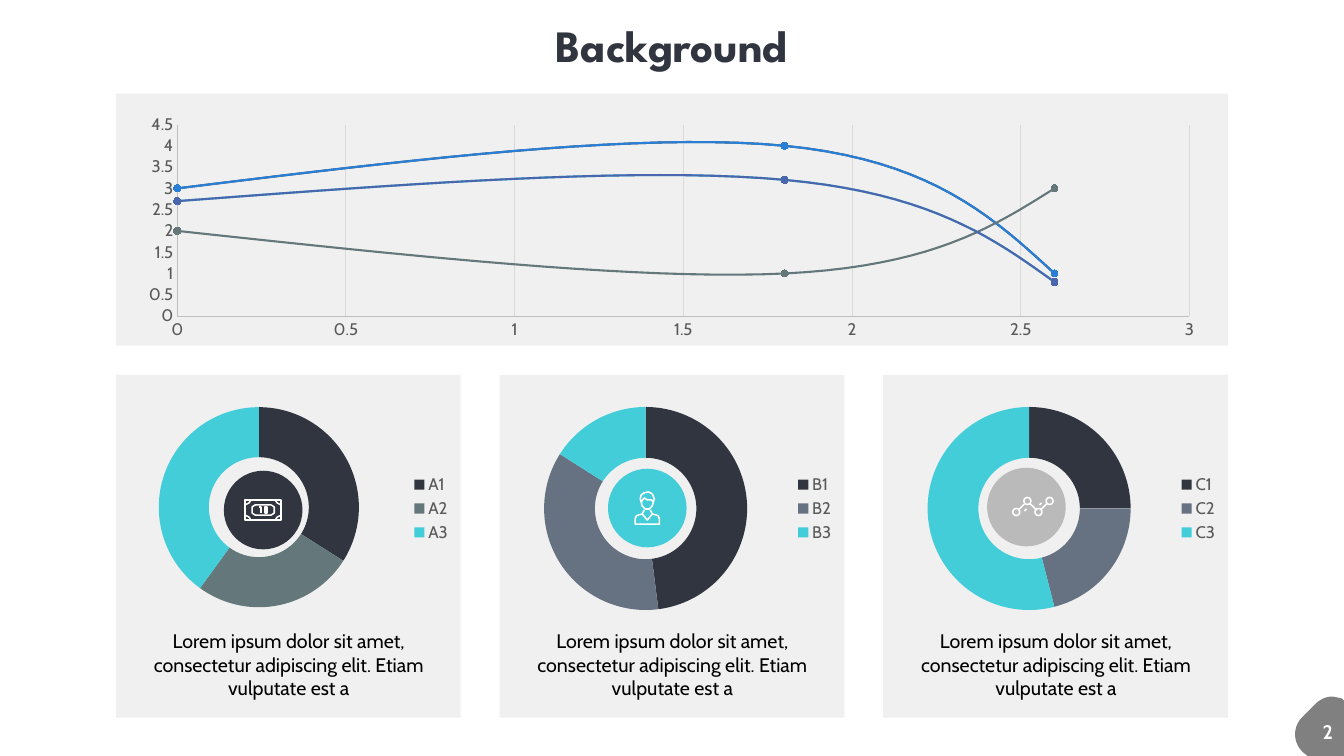
"""Builds the Background slide: a smooth scatter chart above three doughnut cards."""
from lxml.etree import SubElement
from pptx import Presentation
from pptx.chart.data import CategoryChartData, XyChartData
from pptx.dml.color import RGBColor
from pptx.enum.chart import XL_CHART_TYPE as Chart, XL_LEGEND_POSITION as LegendSide
from pptx.enum.chart import XL_MARKER_STYLE as Marker, XL_TICK_MARK as Tick
from pptx.enum.shapes import MSO_CONNECTOR as Connector, MSO_SHAPE as Shape
from pptx.enum.text import PP_ALIGN as Align
from pptx.oxml import parse_xml
from pptx.oxml.ns import nsdecls, qn
from pptx.util import Inches, Pt

INK = RGBColor(0x30, 0x35, 0x3F)
SAGE = RGBColor(0x64, 0x77, 0x7B)
SLATE = RGBColor(0x66, 0x71, 0x81)
CYAN = RGBColor(0x43, 0xCD, 0xD9)
INDIGO = RGBColor(0x4A, 0x66, 0xAC)
BLUE = RGBColor(0x29, 0x7F, 0xD5)
NAVY = RGBColor(0x34, 0x43, 0x57)
SILVER = RGBColor(0xBA, 0xBA, 0xBA)
PANEL = RGBColor(0xCF, 0xCF, 0xCF)
AXIS = RGBColor(0xBF, 0xBF, 0xBF)
GRID = RGBColor(0xD9, 0xD9, 0xD9)
LABEL = RGBColor(0x59, 0x59, 0x59)
GRAY = RGBColor(0x80, 0x80, 0x80)
WHITE = RGBColor(0xFF, 0xFF, 0xFF)
BLACK = RGBColor(0, 0, 0)
BODY_FONT, TITLE_FONT = "Cabin", "League Spartan"

TITLE = "Background"
CAPTION = "Lorem ipsum dolor sit amet, consectetur adipiscing elit. Etiam vulputate est a"
PAGE_NUMBER = "2"
TREND_X = (0, 1.8, 2.6)
TRENDS = [
    ("Series 1", (2.7, 3.2, 0.8), INDIGO),
    ("Series 2", (2, 1, 3), SAGE),
    ("Series 3", (3, 4, 1), BLUE),
    ("Series 4", (2.7, 3.2, 0.8), CYAN),
    ("Series 5", (3, 4, 1), NAVY),
]

CORNERS = [((-.18 * sx, -.05 * sy), (-.14 * sx, -.07 * sy), (-.12 * sx, -.10 * sy))
           for sx in (1, -1) for sy in (1, -1)]
BANKNOTE = {
    "closed": [
        ((-.18, -.10), (.18, -.10), (.18, .10), (-.18, .10)),
        ((-.11, -.03), (-.08, -.05), (.08, -.05), (.11, -.03),
         (.11, .03), (.08, .05), (-.08, .05), (-.11, .03)),
        ((.02, -.03), (.04, -.03), (.04, .03), (.02, .03)),
    ],
    "open": CORNERS + [((-.04, -.03), (-.02, -.03), (-.02, .03))],
    "rings": [],
}
PERSON = {
    "closed": [
        ((-.06, -.06), (-.07, -.09), (-.06, -.13), (-.03, -.15), (.01, -.16), (.05, -.14),
         (.07, -.09), (.06, -.06), (.04, -.08), (0, -.08), (-.03, -.10)),
    ],
    "open": [
        ((-.06, -.06), (-.05, -.02), (-.02, .01), (.02, .01), (.05, -.02), (.06, -.06)),
        ((-.03, .02), (-.05, .06), (-.09, .07), (-.11, .08), (-.12, .11), (-.12, .16),
         (.12, .16), (.12, .11), (.11, .08), (.09, .07), (.05, .06), (.03, .02)),
        ((-.05, .06), (0, .12), (.05, .06)),
    ],
    "rings": [],
}
NODES = {
    "closed": [],
    "open": [((-.07, .02), (-.02, -.03)), ((.04, -.03), (.09, .02)), ((.15, .02), (.20, -.03)),
             ((-.02, .04), (0, .02)), ((.13, -.02), (.15, -.04))],
    "rings": [(-.10, .05), (.01, -.06), (.12, .05), (.23, -.06)],
}
CARDS = [
    (("A1", "A2", "A3"), (34, 26, 40), (INK, SAGE, CYAN), INK, (2.61, 5.06), BANKNOTE,
     (0.126, 0.061, 0.578, 0.867)),
    (("B1", "B2", "B3"), (48, 36, 16), (INK, SLATE, CYAN), CYAN, (6.42, 5.04), PERSON, None),
    (("C1", "C2", "C3"), (25, 21, 54), (INK, SLATE, CYAN), SILVER, (10.18, 5.03), NODES, None),
]
CARD_LEFT, CARD_TOP, CARD_PITCH, CARD_W, CARD_H = 1.15, 3.72, 3.805, 3.42, 3.4
DISC, RING = 0.78, 0.07

prs = Presentation()
prs.slide_width, prs.slide_height = Inches(13.33), Inches(7.5)
slide = prs.slides.add_slide(prs.slide_layouts[6])
shapes = slide.shapes


def box(left, top, width, height):
    return [Inches(v) for v in (left, top, width, height)]


def style_font(font, size, color, name=BODY_FONT, bold=False):
    font.size, font.name, font.bold = Pt(size), name, bold
    font.color.rgb = color


def add_text(words, place, size, color, name=BODY_FONT, bold=False,
             align=Align.CENTER, wrap=False, inset=(0, 0)):
    frame = shapes.add_textbox(*box(*place)).text_frame
    frame.word_wrap = wrap
    frame.margin_left = frame.margin_right = Inches(inset[0])
    frame.margin_top = frame.margin_bottom = Inches(inset[1])
    frame.text = words
    frame.paragraphs[0].alignment = align
    style_font(frame.paragraphs[0].runs[0].font, size, color, name, bold)


def paint(shape, fill=None, line=None):
    shape.shadow.inherit = False
    if fill is None:
        shape.fill.background()
    else:
        shape.fill.solid()
        shape.fill.fore_color.rgb = fill
    if line is None:
        shape.line.fill.background()
    else:
        shape.line.color.rgb, shape.line.width = line, Pt(1.1)


def add_panel(*place):
    panel = shapes.add_shape(Shape.RECTANGLE, *box(*place))
    paint(panel, PANEL)
    color = panel.fill._xPr.find(qn("a:solidFill"))[0]
    SubElement(color, qn("a:alpha"), val="30000")


def outline(points, closed):
    points = [(Inches(x), Inches(y)) for x, y in points]
    builder = shapes.build_freeform(*points[0])
    builder.add_line_segments(points[1:], close=closed)
    return builder.convert_to_shape()


def add_circle(x, y, size, fill=None, line=None):
    paint(shapes.add_shape(Shape.OVAL, *box(x - size / 2, y - size / 2, size, size)), fill, line)


def add_icon(icon, x, y):
    for key in ("closed", "open"):
        for stroke in icon[key]:
            points = [(x + dx, y + dy) for dx, dy in stroke]
            if len(points) > 2:
                paint(outline(points, key == "closed"), line=WHITE)
            else:
                ends = [Inches(v) for point in points for v in point]
                link = shapes.add_connector(Connector.STRAIGHT, *ends)
                link.line.color.rgb, link.line.width = WHITE, Pt(1.1)
                SubElement(link._element.spPr, qn("a:effectLst"))
    for dx, dy in icon["rings"]:
        add_circle(x + dx, y + dy, RING, line=WHITE)


def add_trends():
    data = XyChartData()
    for name, values, _ in TRENDS:
        series = data.add_series(name)
        for x, y in zip(TREND_X, values):
            series.add_data_point(x, y)
    chart = shapes.add_chart(Chart.XY_SCATTER_SMOOTH, *box(1.26, 1.09, 10.8, 2.33), data).chart
    chart.has_legend = chart.has_title = False
    style_font(chart.font, 10, BLACK)
    for axis, top in ((chart.category_axis, 3), (chart.value_axis, 4.5)):
        axis.minimum_scale, axis.maximum_scale, axis.major_unit = 0, top, 0.5
        axis.major_tick_mark = axis.minor_tick_mark = Tick.NONE
        axis.format.line.color.rgb, axis.format.line.width = AXIS, Pt(0.75)
        style_font(axis.tick_labels.font, 12, LABEL)
    chart.value_axis.has_major_gridlines = False
    chart.category_axis.has_major_gridlines = True
    grid = chart.category_axis.major_gridlines.format.line
    grid.color.rgb, grid.width = GRID, Pt(0.75)
    for series, (_, _, color) in zip(chart.plots[0].series, TRENDS):
        series.format.line.color.rgb, series.format.line.width = color, Pt(1.5)
        series.marker.style, series.marker.size = Marker.CIRCLE, 5
        series.marker.format.fill.solid()
        series.marker.format.fill.fore_color.rgb = color
        series.marker.format.line.color.rgb = color
        series._element.get_or_add_smooth().val = True


def add_doughnut(place, labels, shares, colors, layout):
    data = CategoryChartData()
    data.categories = labels
    data.add_series("Series 1", shares)
    chart = shapes.add_chart(Chart.DOUGHNUT, *box(*place), data).chart
    chart.has_title, chart.has_legend = False, True
    style_font(chart.font, 10, BLACK)
    chart.legend.position, chart.legend.include_in_layout = LegendSide.RIGHT, False
    style_font(chart.legend.font, 12, LABEL)
    plot = chart.plots[0]
    plot.vary_by_categories = True
    plot._element.find(qn("c:holeSize")).set("val", "75")
    for i, color in enumerate(colors):
        fill = plot.series[0].points[i].format.fill
        fill.solid()
        fill.fore_color.rgb = color
    if layout:
        area = plot._element.getparent()
        for old in area.findall(qn("c:layout")):
            area.remove(old)
        modes = '<c:layoutTarget val="inner"/><c:xMode val="edge"/><c:yMode val="edge"/>'
        sizes = "".join(f'<c:{key} val="{v}"/>' for key, v in zip("xywh", layout))
        area.insert(0, parse_xml(f'<c:layout {nsdecls("c")}><c:manualLayout>{modes}{sizes}'
                                 '</c:manualLayout></c:layout>'))


def curve(a, b, c, d, steps=10):
    weights = [((1 - t) ** 3, 3 * t * (1 - t) ** 2, 3 * t * t * (1 - t), t ** 3)
               for t in (i / steps for i in range(steps + 1))]
    return [tuple(sum(w * p[k] for w, p in zip(ws, (a, b, c, d))) for k in (0, 1))
            for ws in weights]


add_text(TITLE, (5.33, 0.18, 2.67, 0.54), 32, INK, TITLE_FONT, bold=True)
add_panel(1.15, 0.93, 11.03, 2.5)
add_trends()
for n, (labels, shares, colors, disc, center, icon, layout) in enumerate(CARDS):
    left = CARD_LEFT + n * CARD_PITCH
    add_panel(left, CARD_TOP, CARD_W, CARD_H)
    add_doughnut((left - 0.01, 3.9, 3.44, 2.29), labels, shares, colors, layout)
    add_circle(*center, DISC, fill=disc)
    add_icon(icon, *center)
    add_text(CAPTION, (left + 0.25, 6.24, 2.93, 0.71), 14, BLACK, wrap=True)

badge = (curve((13.04, 6.99), (13.09, 6.94), (13.15, 6.91), (13.22, 6.91))
         + [(13.31, 6.93), (13.33, 6.95), (13.33, 7.5), (12.97, 7.5)]
         + curve((12.92, 7.46), (12.82, 7.36), (12.82, 7.21), (12.92, 7.11)))
paint(outline(badge, True), GRAY)
add_text(PAGE_NUMBER, (13.02, 7.09, 0.3, 0.34), 14, WHITE, bold=True,
         align=Align.LEFT, inset=(0.1, 0.05))
prs.save("out.pptx")
